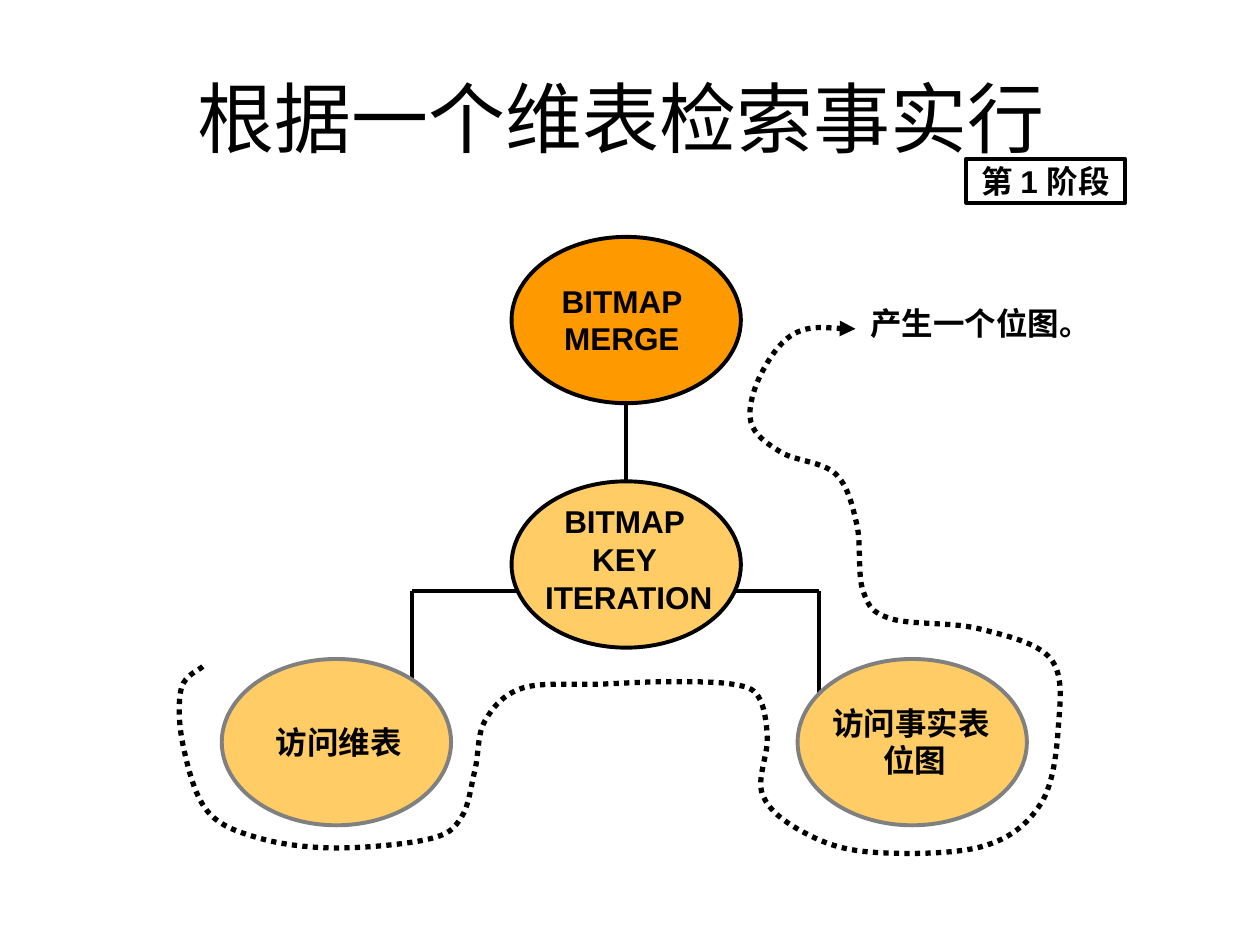
from collections import namedtuple
from lxml.etree import SubElement
from pptx import Presentation
from pptx.dml.color import RGBColor
from pptx.enum.dml import MSO_LINE as Dash
from pptx.enum.shapes import MSO_CONNECTOR as Link, MSO_SHAPE as Shape
from pptx.enum.text import MSO_ANCHOR as Anchor, PP_ALIGN as Align
from pptx.oxml.ns import qn
from pptx.util import Inches, Pt

COLORS = {"ink": "000000", "rim": "808080", "merge": "FF9900", "step": "FFCC66"}
LATIN, HAN = "Arial", "Noto Sans CJK SC"
WIDTH, HEIGHT = Inches(10), Inches(7.5)
COLS, ROWS = 100, 75
LINE_ROWS = 3
NODE_W, NODE_H = 18.2, 13.2

Box = namedtuple("Box", "left top width height")
TITLE = Box(5, 3, 90, 12.5)
STAGE = Box(76.7, 12.6, 12.6, 3.5)
TREE = Box(17.6, 18.8, 63.9, 46.7)
TRAIL = Box(14.2, 25.8, 70.3, 42)
RESULT = Box(68.9, 24, 17.8, 3.3)

TRAIL_KNOTS = [
    (1.9, 27.1), (0.2, 28.8), (0.3, 33.2), (2.2, 38.5), (6.3, 40.7),
    (12.4, 41.5), (19.8, 40.8), (22.4, 39.1), (23.5, 35.3), (24.3, 31.4),
    (27.3, 28.8), (33.5, 28.5), (39, 28.3), (43.9, 28.5), (46, 29.5),
    (46.7, 32.8), (46.3, 37.2), (49.3, 40.1), (54.6, 41.8), (63.7, 41.4),
    (68.4, 38), (69.8, 31.9), (69.2, 26.5), (63.5, 24.1), (56.5, 23.3),
    (54.3, 21.1), (53.8, 15.8), (52.1, 11.8), (47.8, 10.1), (45.4, 7.7),
    (46.2, 3.9), (49, 0.6), (53.7, 0.3),
]


def across(cols):
    """Turn grid columns into a slide length."""
    return round(WIDTH * cols / COLS)


def down(rows):
    """Turn grid rows into a slide length."""
    return round(HEIGHT * rows / ROWS)


def place(box):
    """Return the slide lengths of a grid box."""
    return across(box.left), down(box.top), across(box.width), down(box.height)


def rgb(name):
    """Look up a named colour."""
    return RGBColor.from_string(COLORS[name])


def outline(part, color="ink", width=2.25):
    """Give a shape or connector a solid line."""
    part.line.color.rgb = rgb(color)
    part.line.width = Pt(width)


def write(frame, lines, size=18, bold=True, latin=LATIN, inset=0.01):
    """Write centred lines into a text frame, one paragraph each."""
    frame.margin_left = frame.margin_right = Inches(inset)
    frame.margin_top = frame.margin_bottom = Inches(inset)
    for index, line in enumerate(lines):
        paragraph = frame.add_paragraph() if index else frame.paragraphs[0]
        paragraph.alignment = Align.CENTER
        run = paragraph.add_run()
        run.text = line
        run.font.size, run.font.bold, run.font.name = Pt(size), bold, latin
        run.font.color.rgb = rgb("ink")
        SubElement(run.font._element, qn("a:ea"), typeface=HAN)


def add_title(slide, box):
    """Place the slide title."""
    frame = slide.shapes.add_textbox(*place(box)).text_frame
    frame.word_wrap, frame.vertical_anchor = True, Anchor.MIDDLE
    write(frame, ["根据一个维表检索事实行 "], size=44, bold=False, inset=0.08)


def add_stage(slide, box):
    """Place the framed stage tag."""
    tag = slide.shapes.add_shape(Shape.RECTANGLE, *place(box))
    tag.shadow.inherit = False
    tag.fill.background()
    outline(tag)
    tag.text_frame.word_wrap = False
    tag.text_frame.vertical_anchor = Anchor.MIDDLE
    write(tag.text_frame, ["第 1 阶段"], inset=0.05)


def add_label(slide, box, lines, latin=LATIN):
    """Place an unwrapped label."""
    frame = slide.shapes.add_textbox(*place(box)).text_frame
    frame.word_wrap = False
    write(frame, lines, latin=latin)


def add_node(slide, box, lines, fill, rim, nudge=(0, 0), latin=LATIN):
    """Place an oval with its label about the centre."""
    oval = slide.shapes.add_shape(Shape.OVAL, *place(box))
    oval.shadow.inherit = False
    oval.fill.solid()
    oval.fill.fore_color.rgb = rgb(fill)
    outline(oval, rim)
    rows = len(lines) * LINE_ROWS + 0.3
    top = box.top + (box.height - rows) / 2 + nudge[1]
    add_label(slide, Box(box.left + nudge[0], top, box.width, rows), lines, latin)


def add_branch(slide, box, start, end):
    """Draw a straight branch between two points of the box."""
    branch = slide.shapes.add_connector(
        Link.STRAIGHT,
        across(box.left + start[0]), down(box.top + start[1]),
        across(box.left + end[0]), down(box.top + end[1]))
    outline(branch)
    SubElement(branch._element.spPr, qn("a:effectLst"))


def add_tree(slide, box):
    """Draw the execution tree, branches first."""
    center, right = (box.width - NODE_W) / 2 + 0.15, box.width - NODE_W
    middle, bottom = 19.4, box.height - NODE_H
    stem, arm, foot = center + NODE_W / 2, 28.1, bottom + 3.1
    for inner, outer in [(24, 15.1), (40.5, 47.4)]:
        add_branch(slide, box, (inner, arm), (outer, arm))
        add_branch(slide, box, (outer, arm), (outer, foot))
    add_branch(slide, box, (stem, NODE_H), (stem, middle))

    nodes = [
        (center, 0, ["BITMAP ", "MERGE "], "merge", "ink", (0, 0), LATIN),
        (center, middle, ["BITMAP ", "KEY ", "ITERATION"], "step", "ink", (0.2, -0.4), LATIN),
        (0, bottom, ["访问维表"], "step", "rim", (0.2, 0), HAN),
        (right, bottom, ["访问事实表 ", "位图"], "step", "rim", (0.2, 0), LATIN),
    ]
    for left, top, *style in nodes:
        add_node(slide, Box(box.left + left, box.top + top, NODE_W, NODE_H), *style)


def smooth_path(trail):
    """Turn straight segments into curves whose tangents follow the neighbours."""
    segments = list(trail._element.iter(qn("a:lnTo")))
    points = [(int(p.get("x")), int(p.get("y"))) for p in trail._element.iter(qn("a:pt"))]
    padded = [points[0], *points, points[-1]]
    for segment, before, start, end, after in zip(
            segments, padded, padded[1:], padded[2:], padded[3:]):
        leave = [s + (e - b) / 6 for b, s, e in zip(before, start, end)]
        arrive = [e - (a - s) / 6 for s, e, a in zip(start, end, after)]
        curve = SubElement(segment.getparent(), qn("a:cubicBezTo"))
        for x, y in (leave, arrive, end):
            SubElement(curve, qn("a:pt"), x=str(round(x)), y=str(round(y)))
        segment.getparent().replace(segment, curve)


def add_trail(slide, box):
    """Draw the dotted walk through the tree, ending in an arrow."""
    start, *rest = [(across(box.left + x), down(box.top + y)) for x, y in TRAIL_KNOTS]
    builder = slide.shapes.build_freeform(*start)
    builder.add_line_segments(rest, close=False)
    trail = builder.convert_to_shape()
    trail.shadow.inherit = False
    trail.fill.background()
    outline(trail, width=3)
    trail.line.dash_style = Dash.ROUND_DOT
    SubElement(trail._element.spPr.find(qn("a:ln")), qn("a:tailEnd"), type="triangle")
    smooth_path(trail)


def main():
    """Build and save the slide."""
    deck = Presentation()
    deck.slide_width, deck.slide_height = WIDTH, HEIGHT
    slide = deck.slides.add_slide(deck.slide_layouts[6])
    add_title(slide, TITLE)
    add_tree(slide, TREE)
    add_label(slide, RESULT, ["产生一个位图。"])
    add_trail(slide, TRAIL)
    add_stage(slide, STAGE)
    deck.save("out.pptx")


if __name__ == "__main__":
    main()
